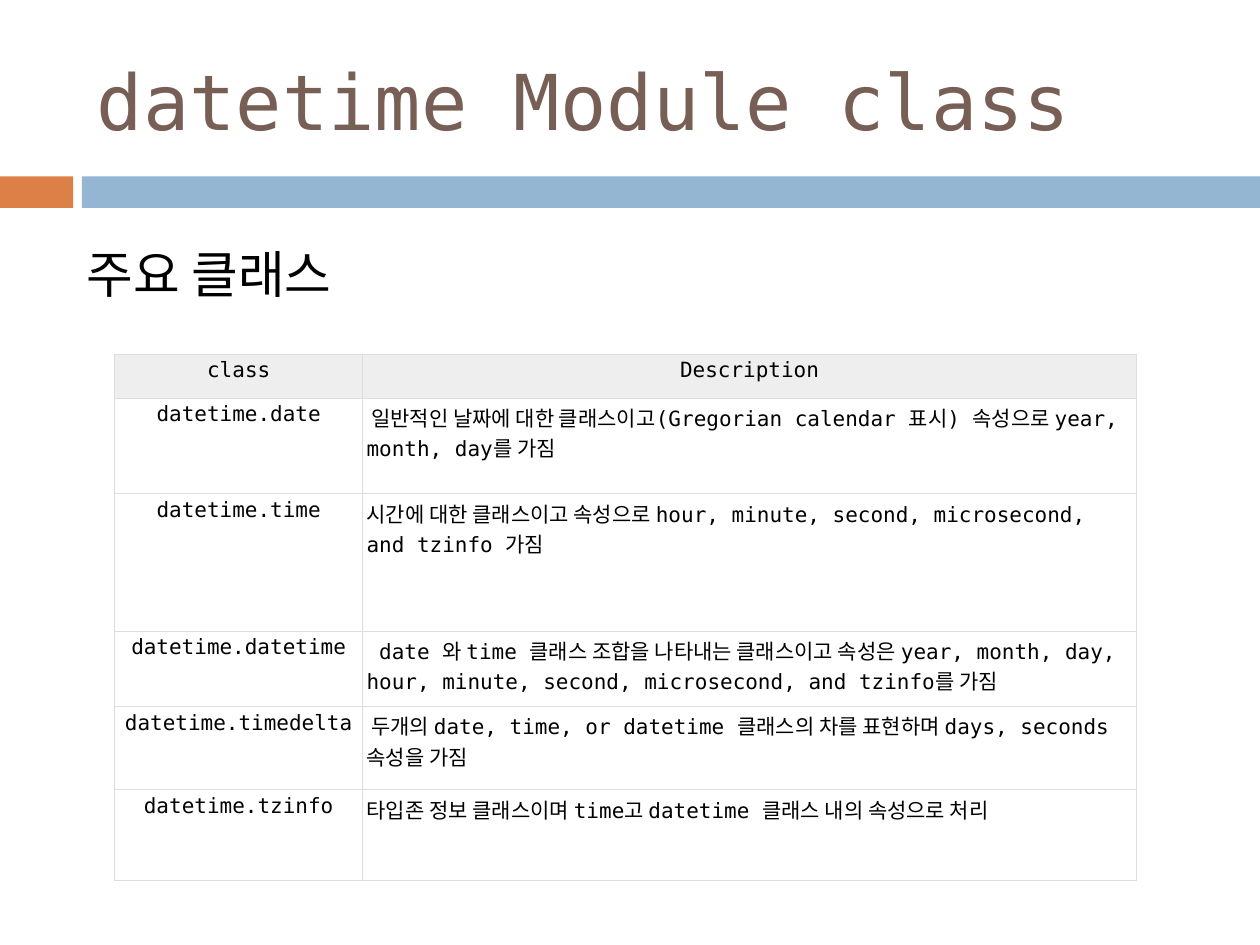
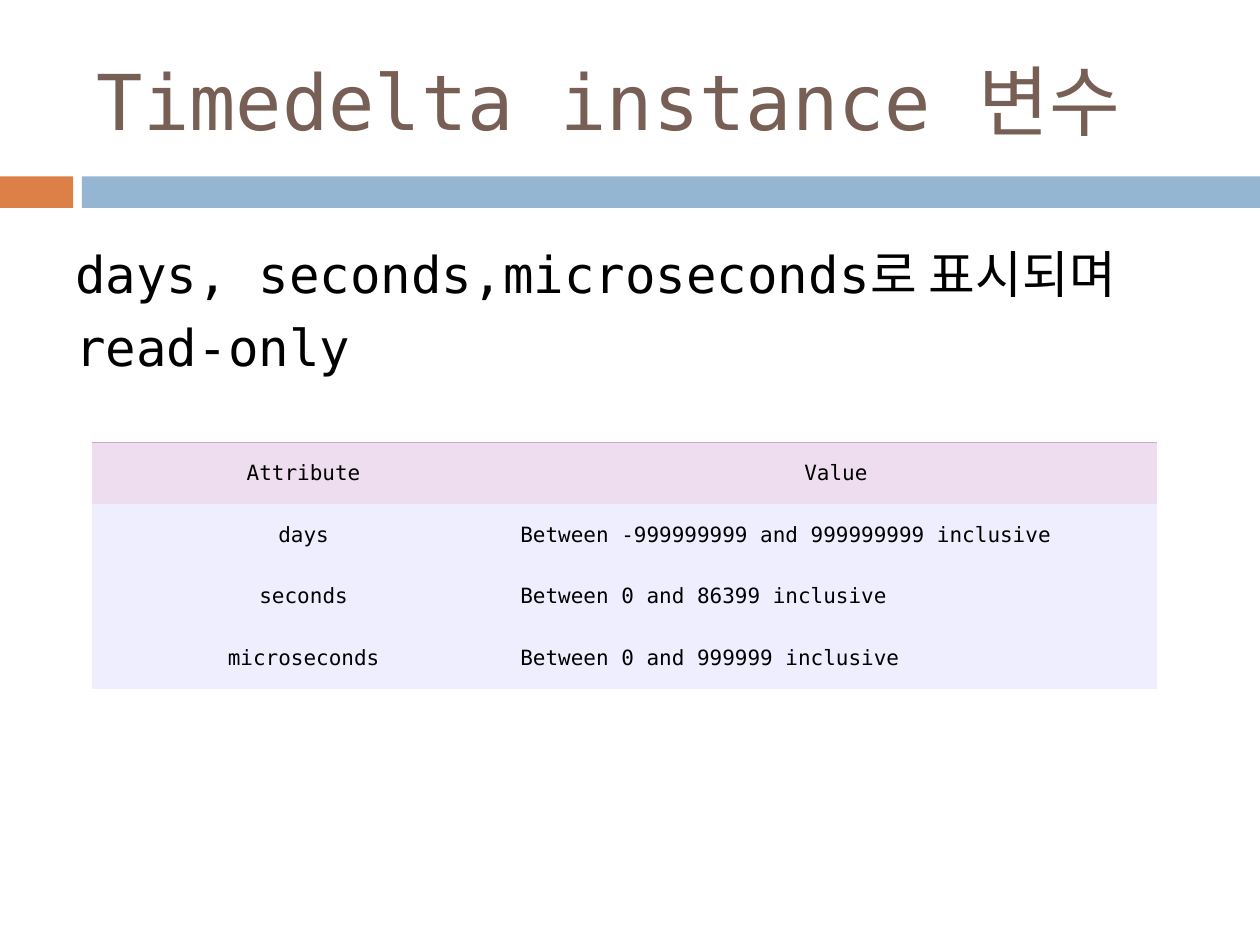
import pptx
import pptx.dml.color
import pptx.enum.shapes
import pptx.enum.text
import pptx.oxml
import pptx.oxml.ns
import pptx.util

Inches = pptx.util.Inches
ALIGN = pptx.enum.text.PP_ALIGN
ANCHOR = pptx.enum.text.MSO_ANCHOR

FONT = "DejaVu Sans Mono"
COLOURS = {
    "title": "775F55",
    "text": "000000",
    "accent": "DD8047",
    "band": "94B6D2",
    "grid": "DDDDDD",
    "grey_header": "EEEEEE",
    "pink_header": "EEDDEE",
    "pink_line": "CCAACC",
    "lilac": "EEEEFF",
}

CLASS_ROWS = [
    ("class", "Description"),
    ("datetime.date", " 일반적인 날짜에 대한 클래스이고(Gregorian calendar 표시) 속성으로 year, month, day를 가짐"),
    ("datetime.time", "시간에 대한 클래스이고 속성으로 hour, minute, second, microsecond, and tzinfo 가짐"),
    ("datetime.datetime", " date 와 time 클래스 조합을 나타내는 클래스이고 속성은 year, month, day, "
                          "hour, minute, second, microsecond, and tzinfo를 가짐"),
    ("datetime.timedelta", " 두개의 date, time, or datetime 클래스의 차를 표현하며 days, seconds 속성을 가짐"),
    ("datetime.tzinfo", "타입존 정보 클래스이며 time고 datetime 클래스 내의 속성으로 처리"),
]
ATTRIBUTE_ROWS = [
    ("Attribute", "Value"),
    ("days", "Between -999999999 and 999999999 inclusive"),
    ("seconds", "Between 0 and 86399 inclusive"),
    ("microseconds", "Between 0 and 999999 inclusive"),
]


def rgb(name):
    """Return the named colour."""
    return pptx.dml.color.RGBColor.from_string(COLOURS[name])


def add_span(para, text, size, colour="text"):
    """Add one styled run to a paragraph."""
    span = para.add_run()
    span.text = text
    span.font.name = FONT
    span.font.size = pptx.util.Pt(size)
    span.font.color.rgb = rgb(colour)


def add_bar(page, left, width, colour):
    """Add one part of the band under the title."""
    bar = page.shapes.add_shape(
        pptx.enum.shapes.MSO_SHAPE.RECTANGLE,
        Inches(left), Inches(1.4), Inches(width), Inches(0.25))
    bar.shadow.inherit = False
    bar.fill.solid()
    bar.fill.fore_color.rgb = rgb(colour)
    bar.line.fill.background()


def add_text(page, at, text, size, colour="text", anchor=ANCHOR.TOP):
    """Add a wrapped text box and return its paragraph."""
    box = page.shapes.add_textbox(*map(Inches, at))
    frame = box.text_frame
    frame.word_wrap = True
    frame.vertical_anchor = anchor
    para = frame.paragraphs[0]
    add_span(para, text, size, colour)
    return para


def add_page(deck, title, lead):
    """Add a page with its title, band and lead sentence."""
    page = deck.slides.add_slide(deck.slide_layouts[6])
    add_bar(page, 0, 0.58, "accent")
    add_bar(page, 0.65, 9.35, "band")
    add_text(page, (0.67, 0.25, 8.92, 1.08), title, 44, "title", ANCHOR.MIDDLE)
    para = add_text(page, (0.5, 1.78, 9, 1.42), lead, 29)
    para.line_spacing = 1.2
    para.space_before = pptx.util.Pt(7)
    return page


def set_borders(cell, borders):
    """Draw the listed sides of a cell and hide the others."""
    properties = cell._tc.get_or_add_tcPr()
    for side in "LRTB":
        colour = borders.get(side)
        fill = (f'<a:solidFill><a:srgbClr val="{COLOURS[colour]}"/></a:solidFill>'
                if colour else "<a:noFill/>")
        properties.append(pptx.oxml.parse_xml(
            f'<a:ln{side} {pptx.oxml.ns.nsdecls("a")} w="{pptx.util.Pt(0.6)}">{fill}</a:ln{side}>'))


def fill_cell(cell, text, centred, anchor, insets, borders, fill):
    """Write and style one table cell."""
    cell.margin_left = cell.margin_right = Inches(insets[0])
    cell.margin_top = cell.margin_bottom = Inches(insets[1])
    cell.vertical_anchor = anchor
    set_borders(cell, borders)
    if fill:
        cell.fill.solid()
        cell.fill.fore_color.rgb = rgb(fill)
    else:
        cell.fill.background()
    para = cell.text_frame.paragraphs[0]
    para.alignment = ALIGN.CENTER if centred else ALIGN.LEFT
    add_span(para, text, 12)


def add_grid(page, corner, widths, heights, rows, anchor, insets,
             header_fill, body_fill, header_borders, body_borders):
    """Add a two-column table with a header row."""
    frame = page.shapes.add_table(
        len(rows), len(widths), *map(Inches, corner),
        Inches(sum(widths)), Inches(sum(heights)))
    table = frame.table
    table.first_row = table.horz_banding = False
    for column, width in zip(table.columns, widths):
        column.width = Inches(width)
    for r, (height, texts) in enumerate(zip(heights, rows)):
        table.rows[r].height = Inches(height)
        header = r == 0
        for c, text in enumerate(texts):
            fill_cell(table.cell(r, c), text, header or c == 0, anchor, insets,
                      header_borders if header else body_borders,
                      header_fill if header else body_fill)


def main():
    """Build the deck."""
    deck = pptx.Presentation()
    deck.slide_width, deck.slide_height = Inches(10), Inches(7.5)

    page = add_page(deck, "datetime Module class", " 주요 클래스")
    all_sides = dict.fromkeys("LRTB", "grid")
    add_grid(page, (0.91, 2.81), (1.97, 6.14), (0.35, 0.76, 1.09, 0.6, 0.66, 0.72),
             CLASS_ROWS, ANCHOR.TOP, (0.03, 0.03),
             "grey_header", None, all_sides, all_sides)

    page = add_page(deck, "Timedelta instance 변수",
                    "days, seconds,microseconds로 표시되며 read-only")
    add_grid(page, (0.73, 3.51), (3.36, 5.09), [0.49] * len(ATTRIBUTE_ROWS),
             ATTRIBUTE_ROWS, ANCHOR.MIDDLE, (0.04, 0.02),
             "pink_header", "lilac", {"T": "pink_line"}, {})

    deck.save("out.pptx")


if __name__ == "__main__":
    main()
